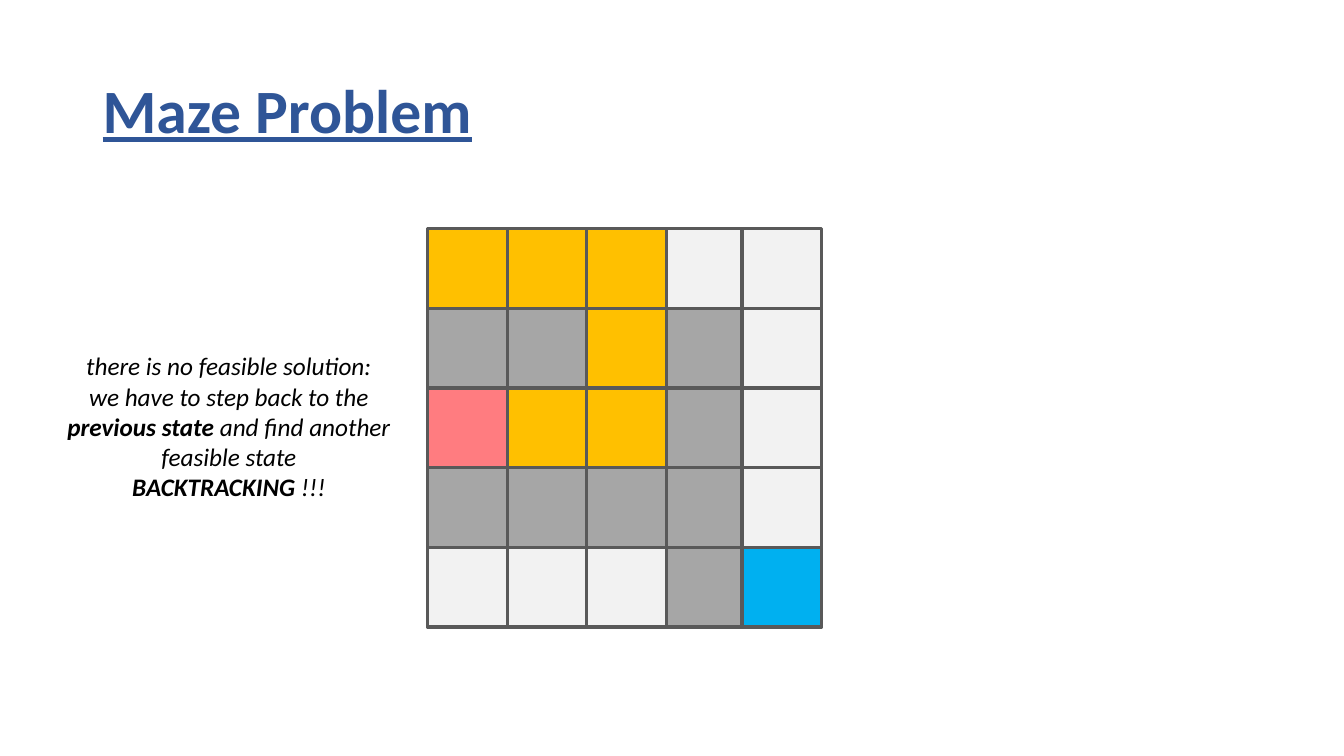
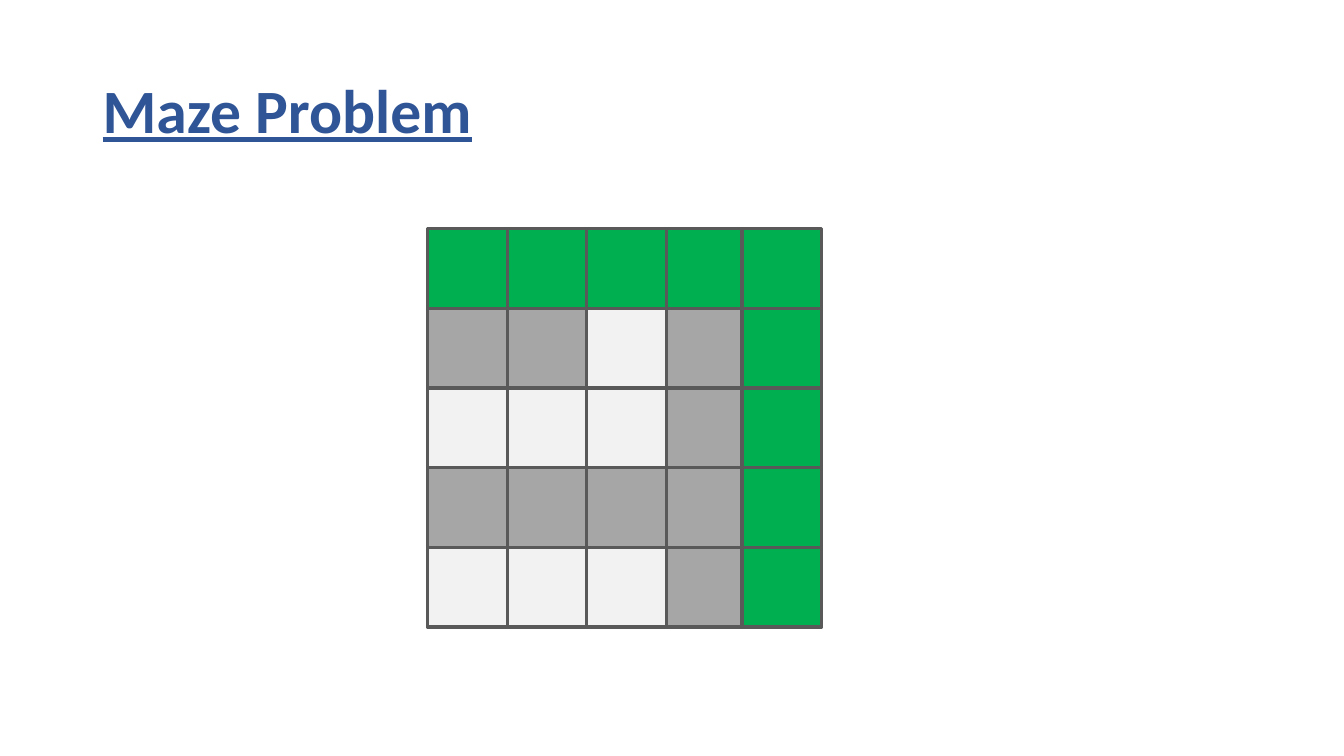
from pptx import Presentation
from pptx.dml.color import RGBColor
from pptx.enum.shapes import MSO_SHAPE
from pptx.enum.text import MSO_ANCHOR, PP_ALIGN
from pptx.util import Inches, Pt

COLORS = {
    "title": "2F5597", "text": "000000", "edge": "595959",
    "free": "F2F2F2", "wall": "A6A6A6", "step": "FFC000",
    "dead": "FF7C80", "goal": "00B0F0", "path": "00B050",
}
FONT = "Calibri"

# Maze grid: the last column sits slightly tighter than the others
LEFT, TOP, SIDE = 4.24, 2.27, 0.79
COLS = [LEFT + SIDE * c for c in range(4)] + [7.36]
ROWS = [TOP + SIDE * r for r in range(5)]
KEYS = {".": "free", "#": "wall", "o": "step",
        "x": "dead", "G": "goal", "P": "path"}

# Each note line is a list of (text, bold) runs
NOTE = [
    [("there is no feasible solution:", False)],
    [("we have to step back to the", False)],
    [("previous state ", True), ("and find another", False)],
    [("feasible state", False)],
    [("BACKTRACKING", True), (" !!!", False)],
]
SLIDES = [
    (["ooo..", "##o#.", "xoo#.", "####.", "...#G"], NOTE),
    (["PPPPP", "##.#P", "...#P", "####P", "...#P"], None),
]

deck = Presentation()
deck.slide_width, deck.slide_height = Inches(13.33), Inches(7.5)


def color(name):
    return RGBColor.from_string(COLORS[name])


def add_text(slide, lines, box, size, ink="text", italic=False, under=False,
             align=PP_ALIGN.LEFT, anchor=MSO_ANCHOR.TOP, wrap=True, space=1.0):
    frame = slide.shapes.add_textbox(*map(Inches, box)).text_frame
    frame.word_wrap, frame.vertical_anchor = wrap, anchor
    for i, runs in enumerate(lines):
        para = frame.add_paragraph() if i else frame.paragraphs[0]
        para.alignment, para.line_spacing = align, space
        for text, bold in runs:
            run = para.add_run()
            run.text = text
            font = run.font
            font.name, font.size, font.bold = FONT, Pt(size), bold
            font.italic, font.underline = italic, under
            font.color.rgb = color(ink)


for maze, note in SLIDES:
    slide = deck.slides.add_slide(deck.slide_layouts[6])

    # Title
    add_text(slide, [[("Maze Problem", True)]], (0.92, 0.4, 11.5, 1.45), 44,
             ink="title", under=True, anchor=MSO_ANCHOR.MIDDLE, space=0.9)

    # Maze cells
    for y, row in zip(ROWS, maze):
        for x, key in zip(COLS, row):
            cell = slide.shapes.add_shape(
                MSO_SHAPE.RECTANGLE, *map(Inches, (x, y, SIDE, SIDE)))
            cell.shadow.inherit = False
            cell.fill.solid()
            cell.fill.fore_color.rgb = color(KEYS[key])
            cell.line.color.rgb = color("edge")
            cell.line.width = Pt(2.25)

    # Side note
    if note:
        add_text(slide, note, (0.55, 3.43, 3.44, 1.62), 18, italic=True,
                 align=PP_ALIGN.CENTER, wrap=False)

deck.save("out.pptx")
